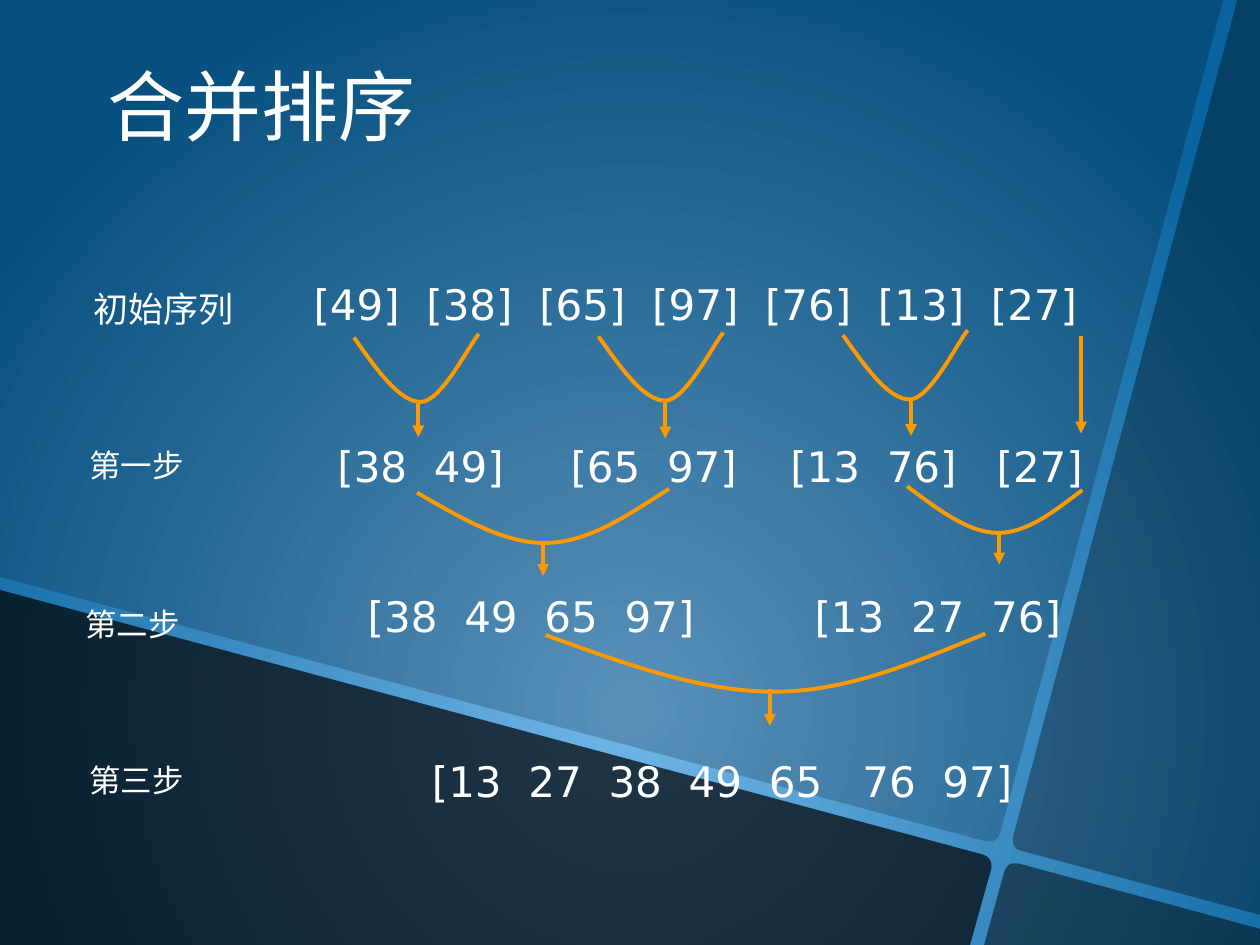
from dataclasses import dataclass
from itertools import accumulate
from math import cos, radians, sin

from lxml.etree import SubElement
from pptx import Presentation
from pptx.dml.color import RGBColor
from pptx.enum.shapes import MSO_CONNECTOR
from pptx.enum.text import MSO_ANCHOR, PP_ALIGN
from pptx.oxml.ns import qn
from pptx.util import Inches, Pt


@dataclass(frozen=True)
class Theme:
    white: RGBColor = RGBColor(0xFF, 0xFF, 0xFF)
    black: RGBColor = RGBColor(0, 0, 0)
    glow: RGBColor = RGBColor(0x70, 0xB6, 0xE8)
    edge: RGBColor = RGBColor(0x08, 0x63, 0x9E)
    orange: RGBColor = RGBColor(0xFF, 0x99, 0x00)
    title_font: str = "Noto Sans CJK SC"
    body_font: str = "DejaVu Sans"
    title_size: int = 44
    first_label_size: int = 20
    label_size: int = 18
    number_size: int = 24
    line_width: float = 2.25


THEME = Theme()

# Advance widths of the number font, in ems
SPACE, BRACKET, DIGIT = 0.318, 0.39, 0.636

# Panels: opacity in percent, centre, then points; a 6-tuple is a Bezier curve
PANEL_TILT = 15
PANELS = [
    (20, (4.28, 2.14), [(0, 0), (9.71, 0), (7.94, 6.61),
                        (7.93, 6.66, 7.88, 6.69, 7.83, 6.68), (0, 4.58)]),
    (70, (3.6, 7.06), [(0, 4.68), (7.8, 6.78),
                       (7.85, 6.79, 7.88, 6.84, 7.87, 6.89), (7.7, 7.5), (0, 7.5)]),
    (50, (8.93, 7.44), [(8.04, 6.85), (8.05, 6.85, 8.07, 6.85, 8.08, 6.85),
                        (10, 7.37), (10, 7.5), (7.81, 7.5), (7.97, 6.92),
                        (7.98, 6.88, 8.01, 6.85, 8.04, 6.85)]),
    (35, (9.92, 3.61), [(9.82, 0), (10, 0), (10, 7.26), (8.1, 6.75),
                        (8.05, 6.74, 8.03, 6.69, 8.04, 6.64)]),
]

# Rows: label, label box, label size, numbers box, tokens, wider gaps in spaces
ROWS = [
    ("初始序列", (0.64, 2.23, 1.31, 0.43), THEME.first_label_size,
     (2.39, 2.16, 6.7, 0.5), "[49] [38] [65] [97] [76] [13] [27]", {}),
    ("第一步", (0.61, 3.49, 0.95, 0.4), THEME.label_size,
     (2.58, 3.45, 6.5, 0.5), "[38 49] [65 97] [13 76] [27]", {2: 5, 4: 4, 6: 3}),
    ("第二步", (0.58, 4.75, 0.95, 0.4), THEME.label_size,
     (2.82, 4.64, 6.01, 0.5), "[38 49 65 97] [13 27 76]", {4: 9}),
    ("第三步", (0.61, 5.99, 0.95, 0.4), THEME.label_size,
     (3.33, 5.95, 5, 0.5), "[13 27 38 49 65 76 97]", {5: 3}),
]

# Merges: left end, lowest point, right end, pull of the right side, arrow x, arrow y
STEEP, SOFT = (0.83, 0.83), (0.66, 0.5)
MERGES = [
    ((2.81, 2.68), (3.34, 3.19), (3.8, 2.65), STEEP, 3.32, (3.18, 3.47)),
    ((4.75, 2.67), (5.28, 3.18), (5.74, 2.64), STEEP, 5.28, (3.19, 3.48)),
    ((6.69, 2.66), (7.22, 3.17), (7.68, 2.62), STEEP, 7.23, (3.17, 3.46)),
    ((3.31, 3.91), (4.32, 4.31), (5.31, 3.88), SOFT, 4.31, (4.32, 4.57)),
    ((7.2, 3.86), (7.92, 4.23), (8.59, 3.89), SOFT, 7.93, (4.23, 4.48)),
    ((4.33, 5.04), (6.14, 5.49), (7.82, 5.03), SOFT, 6.11, (5.47, 5.76)),
]


def pairs(segment):
    return list(zip(segment[::2], segment[1::2]))


def draw_outline(page, segments, close):
    corners = [(Inches(x), Inches(y)) for segment in segments
               for x, y in pairs(segment)]
    builder = page.shapes.build_freeform(*corners[0], scale=1.0)
    builder.add_line_segments(corners[1:], close=close)
    shape = builder.convert_to_shape()
    shape.shadow.inherit = False
    # Turn each three-point segment into one cubic curve
    lines = iter(list(shape._element.iter(qn("a:lnTo"))))
    for segment in segments[1:]:
        line = next(lines)
        if len(segment) == 6:
            line.tag = qn("a:cubicBezTo")
            for control in (next(lines), next(lines)):
                line.append(control[0])
                control.getparent().remove(control)
    return shape


def turn(segment, centre, degrees):
    angle = radians(degrees)
    turned = []
    for x, y in pairs(segment):
        across, down = x - centre[0], y - centre[1]
        turned += [centre[0] + across * cos(angle) - down * sin(angle),
                   centre[1] + across * sin(angle) + down * cos(angle)]
    return turned


def draw_background(page):
    # Radial glow centred below the middle
    fill = page.background.fill
    fill.gradient()
    for stop, color in zip(fill.gradient_stops, (THEME.glow, THEME.edge)):
        stop.color.rgb = color
    gradient = page._element.find(".//" + qn("a:gradFill"))
    gradient.remove(gradient.find(qn("a:lin")))
    radial = SubElement(gradient, qn("a:path"), {"path": "circle"})
    SubElement(radial, qn("a:fillToRect"),
               {"l": "50000", "t": "50000", "r": "50000", "b": "0"})
    # Translucent dark panels, drawn upright and then tilted
    for opacity, centre, segments in PANELS:
        upright = [turn(segment, centre, -PANEL_TILT) for segment in segments]
        panel = draw_outline(page, upright, close=True)
        panel.rotation = PANEL_TILT
        panel.fill.solid()
        panel.fill.fore_color.rgb = THEME.black
        color = panel._element.spPr.find(".//" + qn("a:srgbClr"))
        SubElement(color, qn("a:alpha"), {"val": str(opacity * 1000)})
        panel.line.fill.background()


def style_font(font, name, size):
    font.name, font.size = name, Pt(size)
    font.color.rgb = THEME.white


def place_title(page, box, text):
    title = page.shapes.title
    title.left, title.top, title.width, title.height = map(Inches, box)
    title._element.getparent().append(title._element)  # in front of the panels
    title.text_frame.text = text
    title.text_frame.vertical_anchor = MSO_ANCHOR.MIDDLE
    para = title.text_frame.paragraphs[0]
    para.alignment = PP_ALIGN.LEFT
    style_font(para.font, THEME.title_font, THEME.title_size)


def add_text(page, box, text, size, stops=()):
    frame = page.shapes.add_textbox(*map(Inches, box)).text_frame
    frame.word_wrap = True
    para = frame.paragraphs[0]
    para.text = text
    if stops:
        tabs = SubElement(para._p.get_or_add_pPr(), qn("a:tabLst"))
        for stop in stops:
            SubElement(tabs, qn("a:tab"), {"pos": str(Inches(stop)), "algn": "l"})
    style_font(para.font, THEME.body_font, size)


def token_width(token):
    return sum(DIGIT if mark.isdigit() else BRACKET for mark in token)


def add_row(page, label, label_box, label_size, box, numbers, wide_gaps):
    add_text(page, label_box, label, label_size)
    tokens = numbers.split()
    em = THEME.number_size / 72
    advances = [em * (token_width(token) + SPACE * wide_gaps.get(index, 2))
                for index, token in enumerate(tokens, 1)]
    add_text(page, box, "\t".join(tokens), THEME.number_size,
             list(accumulate(advances[:-1])))


def style_line(line):
    line.color.rgb = THEME.orange
    line.width = Pt(THEME.line_width)


def add_arrow(page, x, top, bottom):
    arrow = page.shapes.add_connector(
        MSO_CONNECTOR.STRAIGHT, Inches(x), Inches(top), Inches(x), Inches(bottom))
    style_line(arrow.line)
    SubElement(arrow.line._get_or_add_ln(), qn("a:tailEnd"), {"type": "triangle"})
    SubElement(arrow._element.spPr, qn("a:effectLst"))


def add_merge(page, left, low, right, pull, arrow_x, arrow_span):
    def between(start, end, across, down):
        return (start[0] + across * (end[0] - start[0]),
                start[1] + down * (end[1] - start[1]))

    falling = between(left, low, 0.34, 0.5) + between(left, low, 0.68, 1) + low
    rising = between(low, right, 0.35, 0) + between(low, right, *pull) + right
    bowl = draw_outline(page, [left, falling, rising], close=False)
    bowl.fill.background()
    style_line(bowl.line)
    add_arrow(page, arrow_x, *arrow_span)


def main():
    deck = Presentation()
    deck.slide_width, deck.slide_height = Inches(10), Inches(7.5)
    page = deck.slides.add_slide(deck.slide_layouts[5])
    draw_background(page)
    place_title(page, (0.75, 0.21, 8.5, 1.25), "合并排序")
    for row in ROWS:
        add_row(page, *row)
    for merge in MERGES:
        add_merge(page, *merge)
    add_arrow(page, 8.58, 2.67, 3.44)  # the odd one out moves down alone
    deck.save("out.pptx")


if __name__ == "__main__":
    main()
